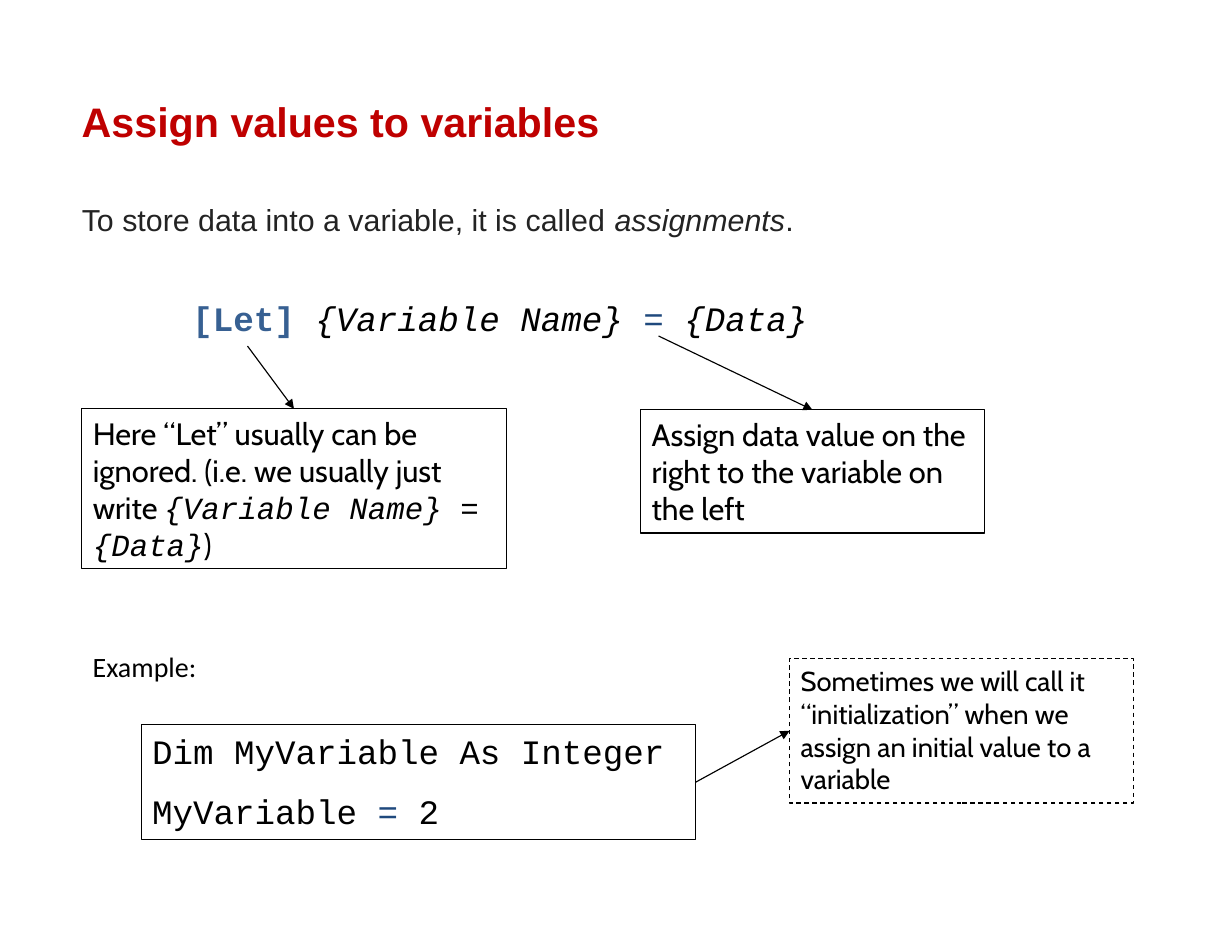
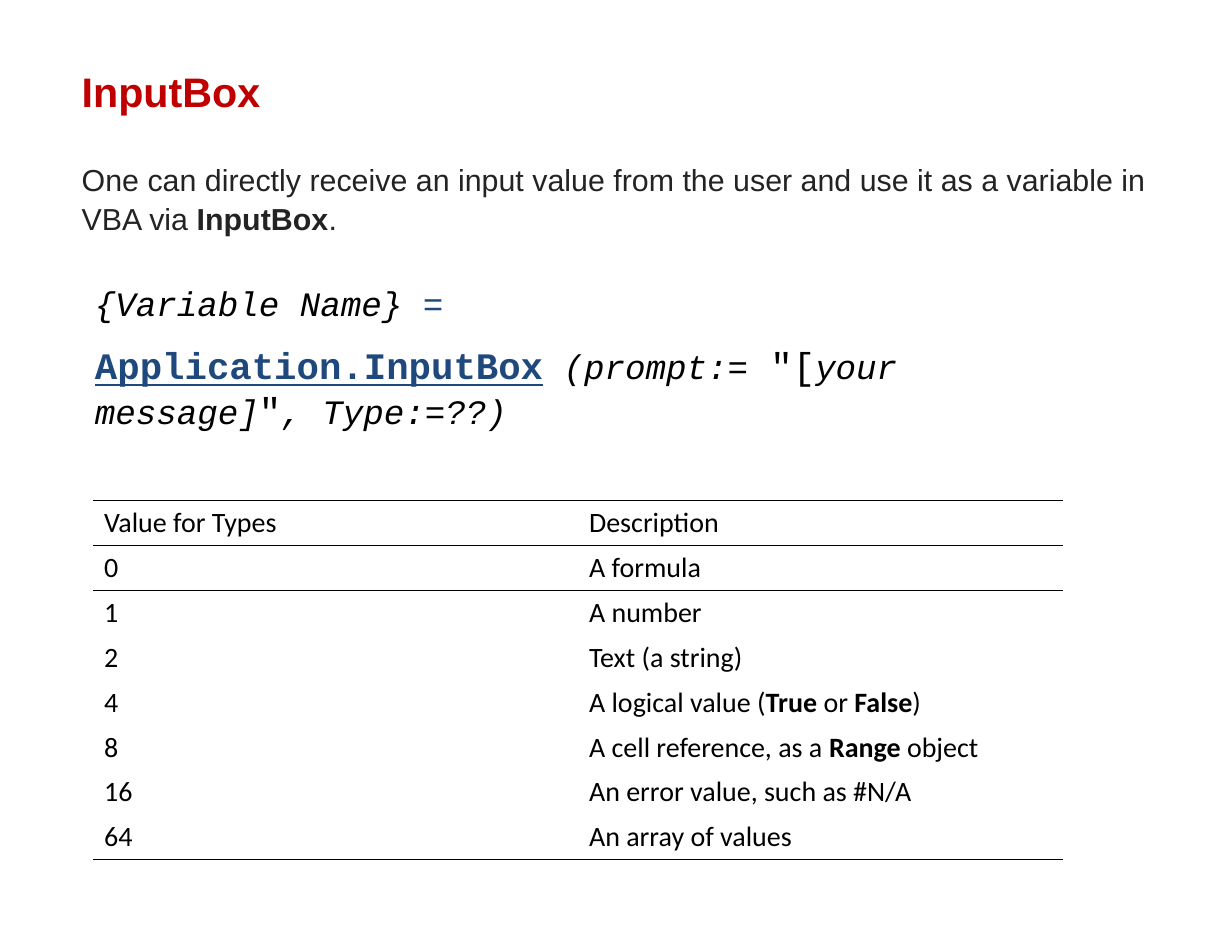
from pptx import Presentation
from pptx.dml.color import RGBColor
from pptx.enum.dml import MSO_LINE_DASH_STYLE as Dash
from pptx.enum.shapes import MSO_CONNECTOR as Connector, MSO_SHAPE as Shape
from pptx.enum.text import PP_ALIGN as Align, MSO_ANCHOR as Anchor
from pptx.oxml.ns import qn
from pptx.util import Inches, Pt
from lxml.etree import SubElement

# Shared look
BLACK, RED, GRAY, BLUE, LIGHT_BLUE = "000000", "BF0000", "232323", "1F497D", "376092"
LEFT = 0.73
TITLE = {"size": 26.5, "font": "Arial", "color": RED, "bold": True}
BODY = {"size": 19.5, "font": "Arial", "color": GRAY}
CODE = {"size": 22, "font": "Courier New"}
NOTE = {"size": 19.8, "font": "Cabin"}
SMALL_NOTE = {"size": 17.6, "font": "Cabin"}
PLAIN = {"size": 18, "font": "Calibri"}
ITALIC, BOLD, OPERATOR = {"italic": True}, {"bold": True}, {"color": BLUE}
BIG = {"size": 24}

# Content: a text is a list of paragraphs, a paragraph is a list of (text, changes) runs
ASSIGN_BODY = [[("To store data into a variable, it is called ", {}),
                ("assignments", ITALIC), (".", {})]]
SYNTAX = [[("[Let] ", {"color": LIGHT_BLUE, "bold": True}), ("{Variable Name} ", ITALIC),
           ("= ", OPERATOR), ("{Data}", ITALIC)]]
LET_NOTE = [[("Here “Let” usually can be ignored. (i.e. we usually just write ", {}),
             ("{Variable Name} = {Data}", {"font": "Courier New", "italic": True}), (")", {})]]
ASSIGN_NOTE = [[("Assign data value on the right to the variable on the left", {})]]
EXAMPLE_CODE = [[("Dim MyVariable As Integer", {})],
                [("MyVariable ", {}), ("=", OPERATOR), (" 2", {})]]
INITIAL_NOTE = [[("Sometimes we will call it “initialization” when we assign "
                  "an initial value to a variable", {})]]

INPUT_BODY = [[("One can directly receive an input value from the user and use it "
                "as a variable in VBA via ", {}), ("InputBox", BOLD), (".", {})]]
INPUT_SYNTAX = [
    [("{Variable Name} ", ITALIC), ("=", OPERATOR)],
    [("Application.InputBox", {"size": 24, "color": BLUE, "bold": True, "underline": True}),
     (" (prompt:=", ITALIC), (' "[', BIG), ("your message]", ITALIC), ('"', BIG),
     (", Type:=??)", ITALIC)],
]
TYPES = [
    ("Value for Types", [("Description", {})]),
    ("0", [("A formula", {})]),
    ("1", [("A number", {})]),
    ("2", [("Text (a string)", {})]),
    ("4", [("A logical value (", {}), ("True", BOLD), (" or ", {}), ("False", BOLD), (")", {})]),
    ("8", [("A cell reference, as a ", {}), ("Range", BOLD), (" object", {})]),
    ("16", [("An error value, such as #N/A", {})]),
    ("64", [("An array of values", {})]),
]


def rgb(value):
    return RGBColor.from_string(value)


def write(frame, paragraphs, style, gap=0, spacing=1.0):
    for index, runs in enumerate(paragraphs):
        paragraph = frame.add_paragraph() if index else frame.paragraphs[0]
        paragraph.alignment = Align.LEFT
        paragraph.line_spacing = spacing
        if index:
            paragraph.space_before = Pt(gap)
        for text, changes in runs:
            look = {**style, **changes}
            run = paragraph.add_run()
            run.text = text
            run.font.size = Pt(look["size"])
            run.font.name = look["font"]
            run.font.color.rgb = rgb(look.get("color", BLACK))
            run.font.bold = look.get("bold", False)
            run.font.italic = look.get("italic", False)
            run.font.underline = look.get("underline", False)


def add_text(slide, place, paragraphs, style, flush=False, **spacing):
    frame = slide.shapes.add_textbox(*map(Inches, place)).text_frame
    frame.word_wrap = True
    if flush:
        frame.margin_left = frame.margin_right = frame.margin_top = frame.margin_bottom = 0
    write(frame, paragraphs, style, **spacing)


def add_heading(slide, title, title_top, body, body_top, body_width):
    add_text(slide, (LEFT, title_top, 7.64, 0.45), [[(title, {})]], TITLE, flush=True)
    add_text(slide, (LEFT, body_top, body_width, 0.44), body, BODY, flush=True, spacing=1.06)


def add_frame(slide, place, paragraphs, style, gap=0, dash=None):
    shape = slide.shapes.add_shape(Shape.RECTANGLE, *map(Inches, place))
    shape.shadow.inherit = False
    shape.fill.background()
    shape.line.color.rgb = rgb(BLACK)
    shape.line.width = Pt(0.75)
    if dash:
        shape.line.dash_style = dash
    shape.text_frame.word_wrap = True
    shape.text_frame.vertical_anchor = Anchor.TOP
    write(shape.text_frame, paragraphs, style, gap)
    return shape


def add_arrow(slide, target, side, start=(0, 0), source=None):
    x, y = map(Inches, start)
    arrow = slide.shapes.add_connector(Connector.STRAIGHT, x, y, x, y)
    if source is not None:
        arrow.begin_connect(source, 3)
    arrow.end_connect(target, side)
    arrow.line.color.rgb = rgb(BLACK)
    arrow.line.width = Pt(0.75)
    SubElement(arrow.line._get_or_add_ln(), qn("a:tailEnd"), type="triangle")
    SubElement(arrow._element.spPr, qn("a:effectLst"))


def set_borders(cell, top, bottom):
    properties = cell._tc.get_or_add_tcPr()
    for side, shown in (("L", False), ("R", False), ("T", top), ("B", bottom)):
        line = SubElement(properties, qn("a:ln" + side), w=str(Pt(1)))
        if shown:
            SubElement(SubElement(line, qn("a:solidFill")), qn("a:srgbClr"), val=BLACK)
        else:
            SubElement(line, qn("a:noFill"))


def add_types_table(slide, left, top, column_width, row_height):
    count = len(TYPES)
    table = slide.shapes.add_table(count, 2, Inches(left), Inches(top), Inches(2 * column_width),
                                   Inches(count * row_height)).table
    table.first_row = table.horz_banding = False
    ruled = {0, 1, 2, count}  # row edges that carry a line
    for row, (value, description) in enumerate(TYPES):
        table.rows[row].height = Inches(row_height)
        for column, runs in enumerate(([(value, {})], description)):
            cell = table.cell(row, column)
            set_borders(cell, row in ruled, row + 1 in ruled)
            cell.fill.background()
            write(cell.text_frame, [runs], PLAIN)
    for column in table.columns:
        column.width = Inches(column_width)


def build_assignment(slide):
    add_heading(slide, "Assign values to variables", 0.86, ASSIGN_BODY, 1.78, 7.85)
    add_text(slide, (1.62, 2.61, 5.86, 0.47), SYNTAX, CODE)
    # Explanations of the syntax
    let_note = add_frame(slide, (LEFT, 3.65, 3.79, 1.43), LET_NOTE, NOTE)
    assign_note = add_frame(slide, (5.72, 3.66, 3.07, 1.1), ASSIGN_NOTE, NOTE)
    add_arrow(slide, let_note, 0, start=(2.21, 3.09))
    add_arrow(slide, assign_note, 0, start=(5.88, 3))
    # Example
    add_text(slide, (LEFT, 5.75, 5.5, 0.4), [[("Example:", {})]], PLAIN)
    example = add_frame(slide, (1.26, 6.47, 4.95, 1.03), EXAMPLE_CODE, CODE, gap=12)
    initial_note = add_frame(slide, (7.05, 5.88, 3.07, 1.29), INITIAL_NOTE, SMALL_NOTE,
                             dash=Dash.DASH)
    add_arrow(slide, initial_note, 1, source=example)


def build_input_box(slide):
    add_heading(slide, "InputBox", 0.59, INPUT_BODY, 1.42, 9.53)
    add_types_table(slide, 0.83, 4.47, 4.33, 0.4)
    add_text(slide, (0.75, 2.47, 8, 1.48), INPUT_SYNTAX, CODE, gap=12)


def main():
    presentation = Presentation()
    presentation.slide_width, presentation.slide_height = Inches(11), Inches(8.5)
    for build in (build_assignment, build_input_box):
        build(presentation.slides.add_slide(presentation.slide_layouts[6]))
    presentation.save("out.pptx")


if __name__ == "__main__":
    main()
